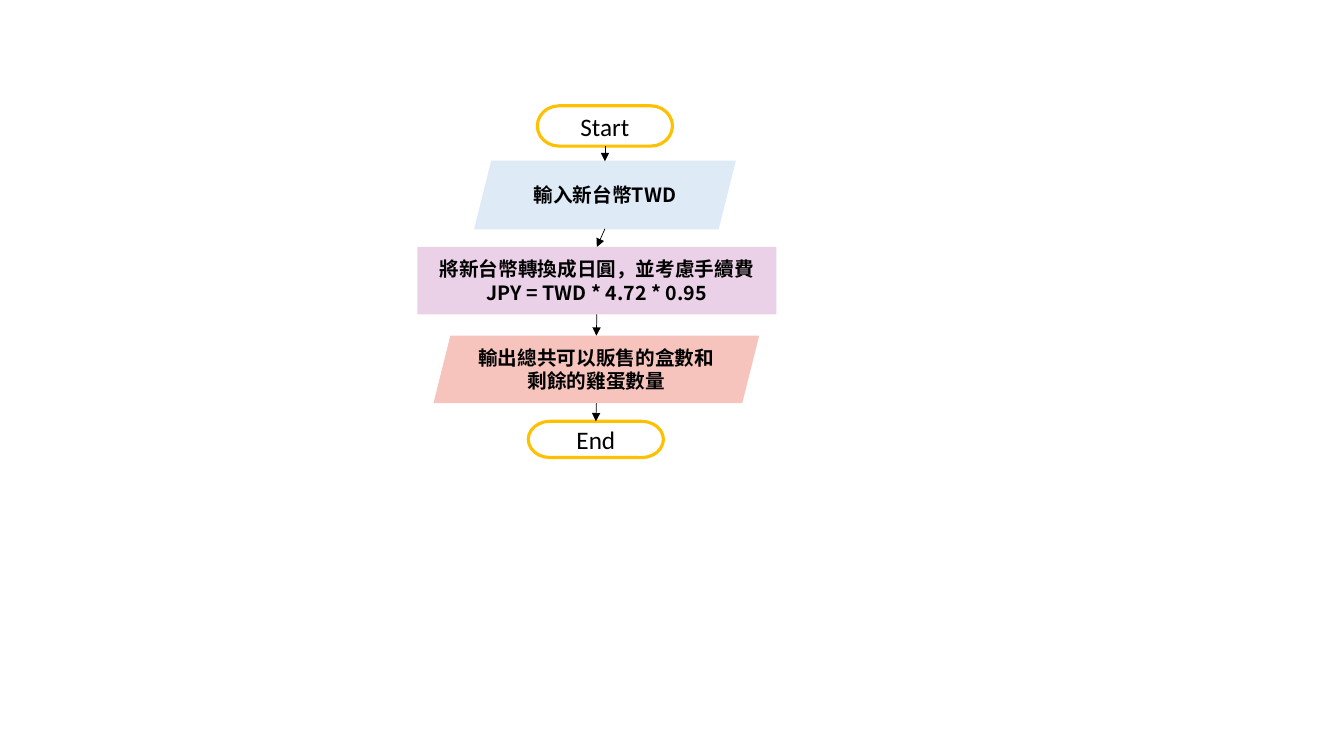
"""Build a flowchart slide that converts TWD to JPY."""
from itertools import pairwise

from lxml import etree
from pptx import Presentation
from pptx.dml.color import RGBColor
from pptx.enum import shapes, text
from pptx.oxml import ns
from pptx.util import Inches, Pt

BLACK = RGBColor(0x00, 0x00, 0x00)
WHITE = RGBColor(0xFF, 0xFF, 0xFF)
GOLD = RGBColor(0xFF, 0xC0, 0x00)
BLUE = RGBColor(0xDE, 0xEB, 0xF7)
PURPLE = RGBColor(0xEA, 0xD1, 0xE7)
RED = RGBColor(0xF6, 0xC4, 0xBC)

KIND = shapes.MSO_SHAPE
TERMINAL, DATA, PROCESS = KIND.FLOWCHART_TERMINATOR, KIND.PARALLELOGRAM, KIND.RECTANGLE
TERMINAL_FONT = {"name": "Calibri", "size": Pt(18), "bold": False}
STEP_FONT = {"name": "Noto Sans CJK SC", "size": Pt(14), "bold": True}

STEPS = [
    (TERMINAL, (5.33, 1.05, 1.34, 0.4), WHITE, (GOLD, 2.25), TERMINAL_FONT, ["Start"]),
    (DATA, (4.71, 1.6, 2.58, 0.67), BLUE, (BLUE, 1), STEP_FONT, ["輸入新台幣TWD"]),
    (PROCESS, (4.14, 2.45, 3.56, 0.67), PURPLE, None, STEP_FONT,
     ["將新台幣轉換成日圓，並考慮手續費", "JPY = TWD * 4.72 * 0.95"]),
    (DATA, (4.3, 3.33, 3.23, 0.67), RED, None, STEP_FONT,
     ["輸出總共可以販售的盒數和剩餘的雞蛋數量"]),
    (TERMINAL, (5.24, 4.18, 1.34, 0.36), WHITE, (GOLD, 2.25), TERMINAL_FONT, ["End"]),
]


def add_step(s, kind, box, fill, border, font, lines):
    sp = s.shapes.add_shape(kind, *map(Inches, box))
    sp.shadow.inherit = False
    sp.fill.solid()
    sp.fill.fore_color.rgb = fill
    if border:
        sp.line.color.rgb, sp.line.width = border[0], Pt(border[1])
    else:
        sp.line.fill.background()
    tf = sp.text_frame
    tf.word_wrap = True
    tf.vertical_anchor = text.MSO_ANCHOR.MIDDLE
    for i, line in enumerate(lines):
        p = tf.add_paragraph() if i else tf.paragraphs[0]
        p.alignment = text.PP_ALIGN.CENTER
        r = p.add_run()
        r.text = line
        for key, value in font.items():
            setattr(r.font, key, value)
        r.font.color.rgb = BLACK
        etree.SubElement(r.font._element, ns.qn("a:ea"), typeface=font["name"])
    return sp


def add_arrow(s, upper, lower):
    start = upper.left + upper.width // 2, upper.top + upper.height
    end = lower.left + lower.width // 2, lower.top
    cx = s.shapes.add_connector(shapes.MSO_CONNECTOR.STRAIGHT, *start, *end)
    if upper.auto_shape_type != DATA:
        cx.begin_connect(upper, 2)
    if lower.auto_shape_type != DATA:
        cx.end_connect(lower, 0)
    cx.line.color.rgb, cx.line.width = BLACK, Pt(0.5)
    etree.SubElement(cx.line._get_or_add_ln(), ns.qn("a:tailEnd"), type="triangle")
    etree.SubElement(cx._element.spPr, ns.qn("a:effectLst"))


def main():
    prs = Presentation()
    prs.slide_width, prs.slide_height = Inches(13.33), Inches(7.5)
    s = prs.slides.add_slide(prs.slide_layouts[6])
    steps = [add_step(s, *step) for step in STEPS]
    for upper, lower in pairwise(steps):
        add_arrow(s, upper, lower)
    prs.save("out.pptx")


if __name__ == "__main__":
    main()
